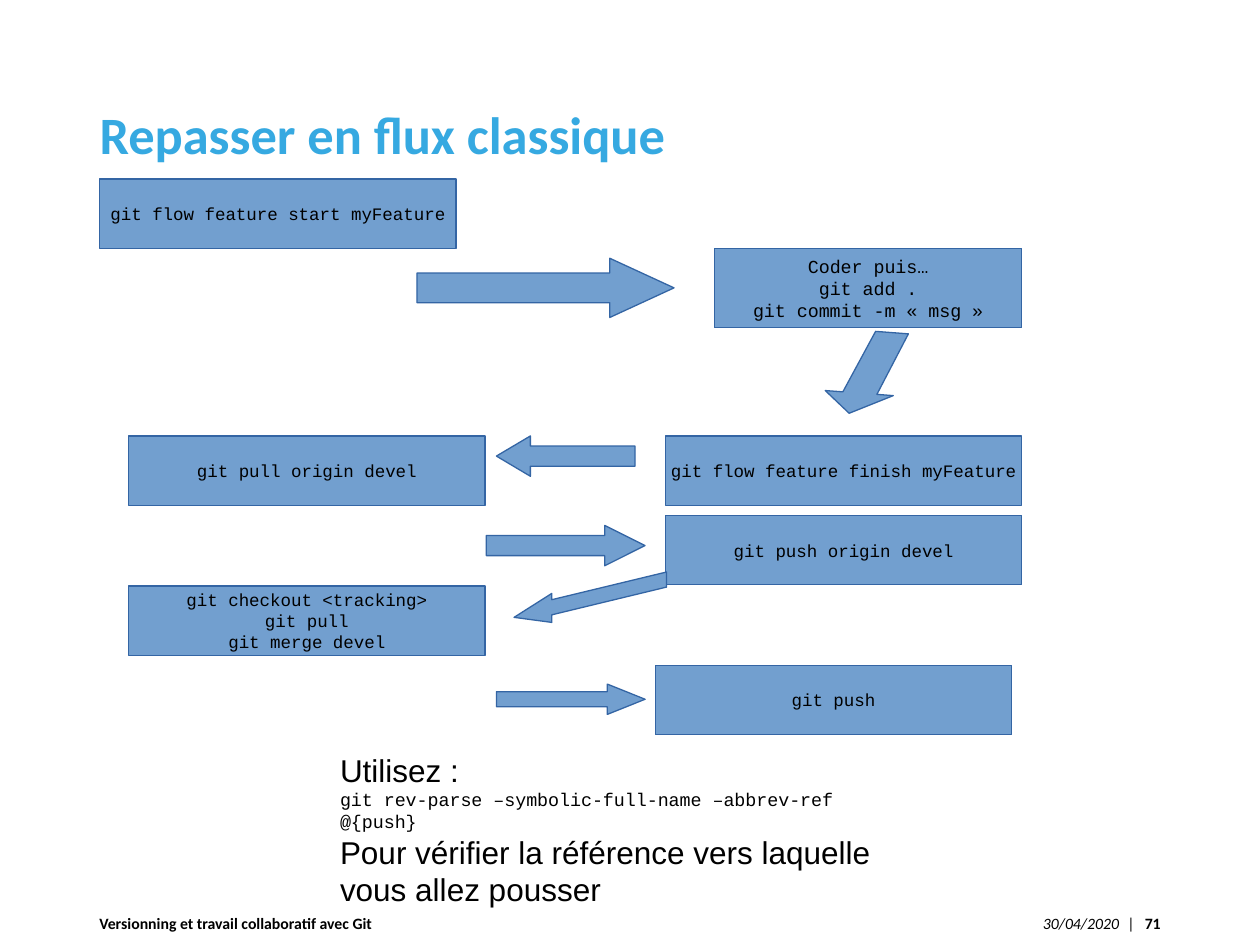
from dataclasses import dataclass

from pptx import Presentation
from pptx.dml.color import RGBColor
from pptx.enum.shapes import MSO_SHAPE
from pptx.enum.text import MSO_ANCHOR, MSO_AUTO_SIZE, PP_ALIGN
from pptx.util import Inches, Pt

BLACK = RGBColor(0x00, 0x00, 0x00)
TITLE_BLUE = RGBColor(0x36, 0xA9, 0xE1)
STEP_FILL = RGBColor(0x72, 0x9F, 0xCF)
STEP_LINE = RGBColor(0x34, 0x65, 0xA4)

COLUMNS, ROWS = 100, 75
TITLE_ONLY = 5
STEP_WIDTH, STEP_HEIGHT = 28.3, 5.5
LEFT, RIGHT = 10.2, 52.8


@dataclass(frozen=True)
class Step:
    commands: str
    column: float
    row: float
    width: float = STEP_WIDTH
    height: float = STEP_HEIGHT
    size: float = 10


@dataclass(frozen=True)
class StraightArrow:
    tail: float
    neck: float
    tip: float
    row: float
    height: float

    def outline(self) -> list[tuple[float, float]]:
        """The shaft is half as high as the head."""
        head, shaft = self.height / 2, self.height / 4
        return [(self.tail, self.row - shaft), (self.neck, self.row - shaft),
                (self.neck, self.row - head), (self.tip, self.row),
                (self.neck, self.row + head), (self.neck, self.row + shaft),
                (self.tail, self.row + shaft)]


@dataclass(frozen=True)
class Label:
    text: str
    column: float
    row: float
    width: float
    height: float
    align: PP_ALIGN = PP_ALIGN.LEFT
    bold: bool = False
    italic: bool = False


STEPS = [
    Step("git flow feature start myFeature", 7.9, 14.2),
    Step("Coder puis…\vgit add .\vgit commit -m « msg »", 56.7, 19.7, 24.4, 6.3, 10.5),
    Step("git flow feature finish myFeature", RIGHT, 34.6),
    Step("git pull origin devel", LEFT, 34.6),
    Step("git push origin devel", RIGHT, 40.9),
    Step("git checkout <tracking>\vgit pull\vgit merge devel", LEFT, 46.5),
    Step("git push", 52, 52.8),
]
STRAIGHT_ARROWS = [
    StraightArrow(33.1, 48.4, 53.5, 22.85, 4.7),
    StraightArrow(50.4, 42.1, 39.4, 36.2, 3.2),
    StraightArrow(38.6, 48, 51.2, 43.3, 3.2),
    StraightArrow(39.4, 48.2, 51.2, 55.5, 2.4),
]
SLANTED_ARROWS = [
    [(72.1, 26.5), (69.6, 31.3), (70.9, 31.4), (67.4, 32.8),
     (65.5, 31), (66.9, 31.1), (69.5, 26.3)],
    [(52.9, 45.4), (43.8, 47.6), (43.8, 47.1), (40.8, 49),
     (43.8, 49.4), (43.8, 48.8), (52.9, 46.6)],
]
FOOTER = [
    Label(" |", 88.2, 72, 2.9, 2.5),
    Label("30/04/2020", 67.5, 71.5, 22.3, 3.5, PP_ALIGN.RIGHT, italic=True),
    Label("Versionning et travail collaboratif avec Git", 6.9, 71.5, 52.3, 3.5, bold=True),
    Label("71", 88.9, 71.5, 4.2, 3.5, PP_ALIGN.RIGHT, bold=True),
]
ADVICE = [
    ("Utilisez :", "Arial", 18),
    ("git rev-parse –symbolic-full-name –abbrev-ref @{push}", "Courier New", 10.5),
    ("Pour vérifier la référence vers laquelle vous allez pousser", "Arial", 18),
]

presentation = Presentation()
presentation.slide_width, presentation.slide_height = Inches(10), Inches(7.5)
slide = presentation.slides.add_slide(presentation.slide_layouts[TITLE_ONLY])


def across(columns: float) -> int:
    return round(presentation.slide_width * columns / COLUMNS)


def down(rows: float) -> int:
    return round(presentation.slide_height * rows / ROWS)


def area(column: float, row: float, width: float, height: float) -> tuple[int, ...]:
    return across(column), down(row), across(width), down(height)


def set_font(run, name: str, size: float, color: RGBColor = BLACK,
             bold: bool = False, italic: bool = False) -> None:
    font = run.font
    font.name, font.size, font.bold, font.italic = name, Pt(size), bold, italic
    font.color.rgb = color


def paint(shape) -> None:
    shape.shadow.inherit = False
    shape.fill.solid()
    shape.fill.fore_color.rgb = STEP_FILL
    shape.line.color.rgb = STEP_LINE
    shape.line.width = Pt(0.75)


def draw_title(text: str) -> None:
    title = slide.shapes.title
    title.left, title.top, title.width, title.height = area(6.9, 7.7, 86.2, 6.4)
    frame = title.text_frame
    frame.text = text
    frame.auto_size = MSO_AUTO_SIZE.NONE
    frame.vertical_anchor = MSO_ANCHOR.MIDDLE
    paragraph = frame.paragraphs[0]
    paragraph.alignment, paragraph.line_spacing = PP_ALIGN.LEFT, 0.9
    set_font(paragraph.runs[0], "Calibri", 30, TITLE_BLUE, bold=True)


def draw_step(step: Step) -> None:
    box = slide.shapes.add_shape(MSO_SHAPE.FLOWCHART_PROCESS,
                                 *area(step.column, step.row, step.width, step.height))
    paint(box)
    frame = box.text_frame
    frame.word_wrap = False
    frame.vertical_anchor = MSO_ANCHOR.MIDDLE
    paragraph = frame.paragraphs[0]
    paragraph.text = step.commands
    paragraph.alignment = PP_ALIGN.CENTER
    for run in paragraph.runs:
        set_font(run, "Courier New", step.size)


def draw_arrow(outline: list[tuple[float, float]]) -> None:
    start, *corners = [(across(x), down(y)) for x, y in outline]
    builder = slide.shapes.build_freeform(*start)
    builder.add_line_segments(corners, close=True)
    paint(builder.convert_to_shape())


def draw_label(label: Label) -> None:
    frame = slide.shapes.add_textbox(
        *area(label.column, label.row, label.width, label.height)).text_frame
    frame.word_wrap = True
    frame.vertical_anchor = MSO_ANCHOR.MIDDLE
    paragraph = frame.paragraphs[0]
    paragraph.text = label.text
    paragraph.alignment = label.align
    set_font(paragraph.runs[0], "Calibri", 9, bold=label.bold, italic=label.italic)


def draw_advice() -> None:
    frame = slide.shapes.add_textbox(*area(26, 59.1, 46.5, 12.3)).text_frame
    frame.word_wrap = True
    paragraph = frame.paragraphs[0]
    paragraph.text = "\v".join(text for text, _, _ in ADVICE)
    for run, (_, font_name, size) in zip(paragraph.runs, ADVICE):
        set_font(run, font_name, size)


draw_title("Repasser en flux classique")
for label in FOOTER:
    draw_label(label)
for step in STEPS:
    draw_step(step)
for outline in [arrow.outline() for arrow in STRAIGHT_ARROWS] + SLANTED_ARROWS:
    draw_arrow(outline)
draw_advice()
presentation.save("out.pptx")
